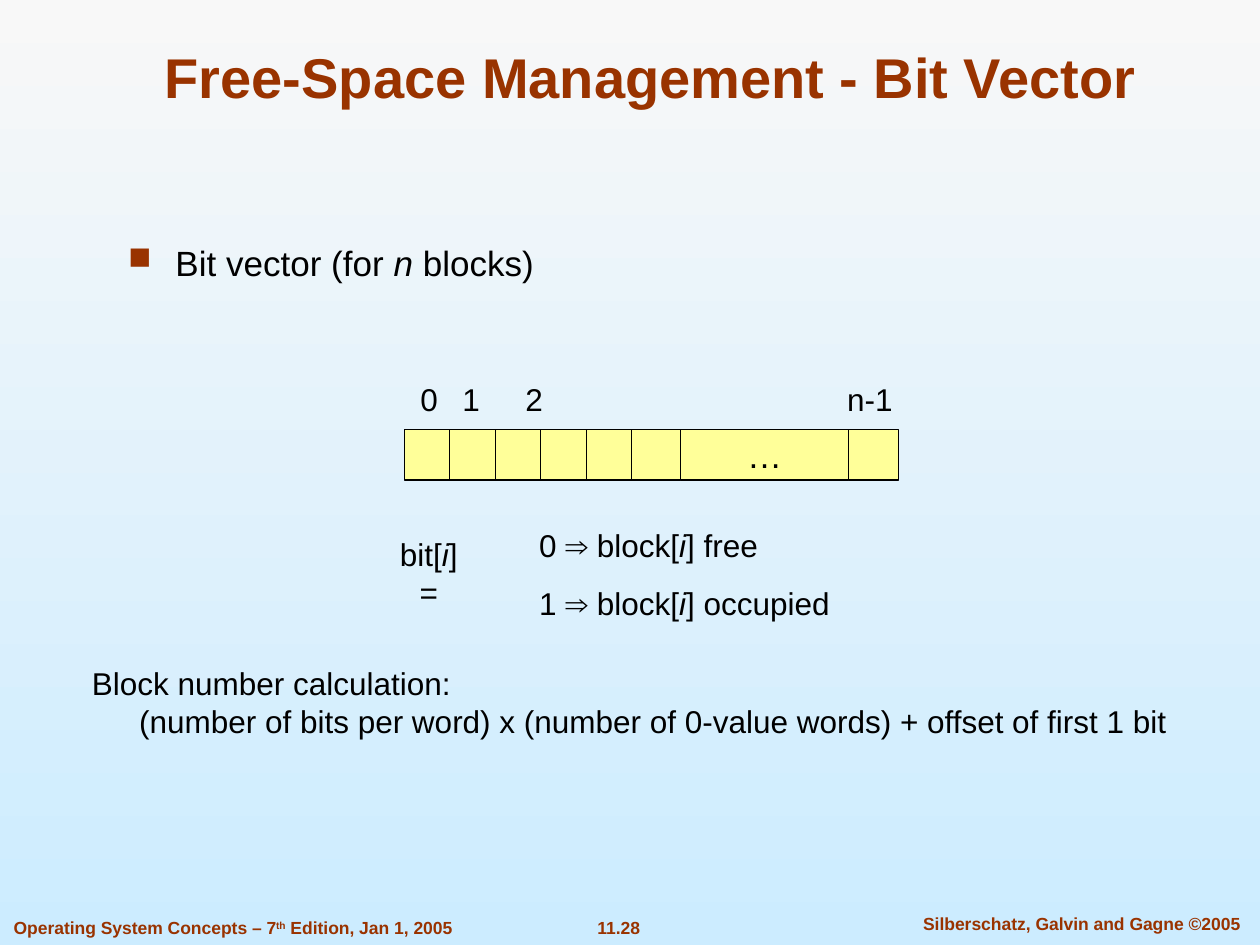
import pptx
import pptx.util
import pptx.dml.color
import pptx.enum.shapes
import pptx.enum.text
from dataclasses import dataclass
from lxml import etree

Pt = pptx.util.Pt
RGB = pptx.dml.color.RGBColor.from_string
ALIGN = pptx.enum.text.PP_ALIGN
ANCHOR = pptx.enum.text.MSO_ANCHOR
RECT = pptx.enum.shapes.MSO_SHAPE.RECTANGLE
DML = "http://schemas.openxmlformats.org/drawingml/2006/main"


@dataclass
class Theme:
    face: str = "Arial"
    ink: str = "000000"
    brand: str = "993300"
    cell: str = "FFFF99"
    top: str = "F8F8F8"
    base: str = "CCECFF"
    title: int = 32
    body: int = 20
    text: int = 18
    foot: int = 10


ITALIC = {"italic": True}
SUPER = {"baseline": 30000}


def assign(item, values):
    for name, value in values.items():
        setattr(item, name, value)


class Deck:
    def __init__(self, theme):
        self.theme = theme
        self.file = pptx.Presentation()
        assign(self.file, {"slide_width": Pt(720), "slide_height": Pt(540)})
        self.slide = self.file.slides.add_slide(self.file.slide_layouts[6])

    def backdrop(self):
        fill = self.slide.background.fill
        fill.gradient()
        fill.gradient_angle = 270
        for stop, color in zip(fill.gradient_stops, (self.theme.top, self.theme.base)):
            stop.color.rgb = RGB(color)

    def typeset(self, frame, lines, size, color, align, gap=0, indent=0, bullet=None, **font):
        """Fill a frame; each line is a list of (words, format) runs."""
        for row, runs in enumerate(lines):
            para = frame.paragraphs[0] if row == 0 else frame.add_paragraph()
            assign(para, {"alignment": align, "space_before": Pt(gap if row else 0)})
            if indent:
                self.hang(para, indent, bullet)
            for words, extra in runs:
                for part, piece in enumerate(words.split("\n")):
                    if part:
                        para.add_line_break()
                    run = para.add_run()
                    run.text = piece
                    look = {"name": self.theme.face, "size": Pt(size), **font, **extra}
                    lift = look.pop("baseline", None)
                    assign(run.font, look)
                    run.font.color.rgb = RGB(color)
                    if lift:
                        run._r.get_or_add_rPr().set("baseline", str(lift))

    def hang(self, para, indent, bullet):
        props = para._p.get_or_add_pPr()
        props.set("marL", str(Pt(indent)))
        props.set("indent", str(-Pt(indent)))
        if bullet:
            tint = etree.SubElement(props, f"{{{DML}}}buClr")
            etree.SubElement(tint, f"{{{DML}}}srgbClr", val=self.theme.brand)
            etree.SubElement(props, f"{{{DML}}}buSzPct", val="90000")
            etree.SubElement(props, f"{{{DML}}}buChar", char=bullet)

    def text(self, at, lines, size=None, color=None, align=ALIGN.CENTER,
             anchor=ANCHOR.MIDDLE, wrap=False, **style):
        frame = self.slide.shapes.add_textbox(*map(Pt, at)).text_frame
        assign(frame, {"word_wrap": wrap, "vertical_anchor": anchor})
        self.typeset(frame, lines, size or self.theme.text,
                     color or self.theme.ink, align, **style)

    def foot(self, at, runs, align=ALIGN.CENTER):
        self.text(at, [runs], self.theme.foot, self.theme.brand, align,
                  ANCHOR.TOP, bold=True)

    def cell(self, left, width, words=None):
        box = self.slide.shapes.add_shape(RECT, *map(Pt, (left, 245.5, width, 28.8)))
        box.shadow.inherit = False
        box.fill.solid()
        box.fill.fore_color.rgb = RGB(self.theme.cell)
        box.line.color.rgb = RGB(self.theme.ink)
        box.line.width = Pt(0.75)
        if words:
            assign(box.text_frame, {"word_wrap": False, "vertical_anchor": ANCHOR.MIDDLE})
            self.typeset(box.text_frame, [[(words, {})]], self.theme.body,
                         self.theme.ink, ALIGN.CENTER)


def main():
    theme = Theme()
    deck = Deck(theme)
    deck.backdrop()

    deck.foot((315.4, 520.5, 76.3, 19.4), [("11.28", {})])
    deck.foot((511.2, 518.4, 213.8, 19.4), [("Silberschatz, Galvin and Gagne ©2005", {})])
    deck.foot((0.7, 520.5, 265, 19.4),
              [("Operating System Concepts – 7", {}), ("th", SUPER),
               (" Edition, Jan 1, 2005", {})], ALIGN.LEFT)

    for index in range(6):
        deck.cell(231 + 26 * index, 28)
    deck.cell(389, 96, "…")
    deck.cell(485, 28.3)
    for words, left, width in (("0", 233, 24.5), ("1", 257, 24.5),
                               ("2", 293, 24.5), ("n-1", 477, 40.3)):
        deck.text((left, 213.5, width, 28.8), [[(words, {})]])

    deck.text((213.8, 312.8, 62.6, 28.8), [[("bit[", {}), ("i", ITALIC), ("] =", {})]])
    cases = [[(f"{bit} ⇒ block[", {}), ("i", ITALIC), (f"] {state}", {})]
             for bit, state in enumerate(("free", "occupied"))]
    deck.text((301, 297, 186.5, 62), cases, align=ALIGN.LEFT, gap=11.2)

    formula = ("Block number calculation:\n(number of bits per word) x "
               "(number of 0-value words) + offset of first 1 bit")
    deck.text((45.4, 375.8, 637.2, 74.2), [[(formula, {})]], align=ALIGN.LEFT,
              anchor=ANCHOR.TOP, wrap=True, indent=27)

    deck.text((54, 18, 635.8, 48.2), [[("Free-Space Management - Bit Vector", {})]],
              theme.title, theme.brand, anchor=ANCHOR.BOTTOM, wrap=True, bold=True)
    deck.text((66.2, 134.5, 579, 319), [[("Bit vector (for ", {}), ("n", ITALIC),
                                         (" blocks)", {})]],
              theme.body, align=ALIGN.LEFT, anchor=ANCHOR.TOP, wrap=True,
              indent=27, bullet="■")

    deck.file.save("out.pptx")


if __name__ == "__main__":
    main()
